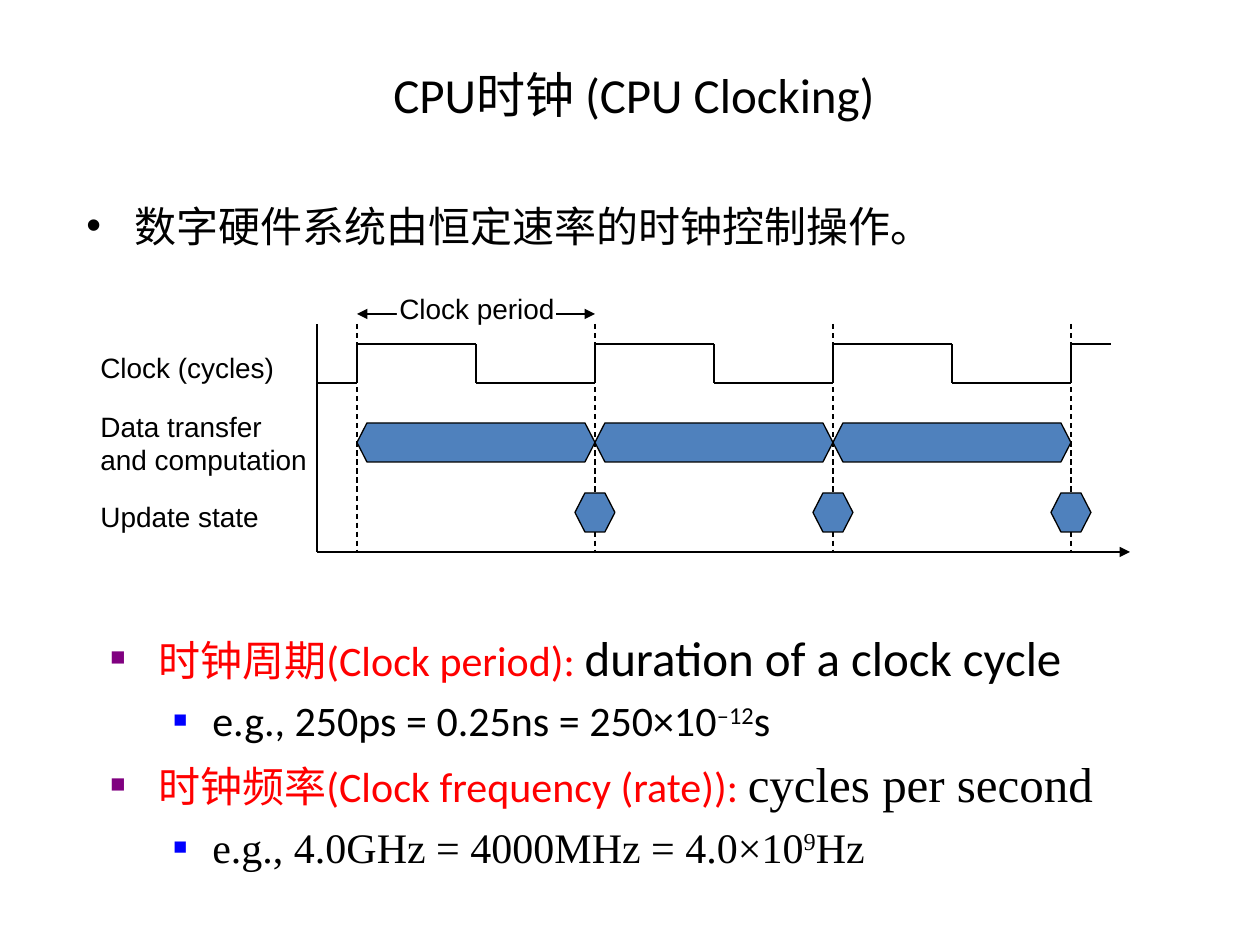
from lxml import etree
from pptx import Presentation
from pptx.dml.color import RGBColor
from pptx.enum.dml import MSO_LINE
from pptx.enum.shapes import MSO_CONNECTOR, MSO_SHAPE
from pptx.enum.text import MSO_ANCHOR, PP_ALIGN
from pptx.oxml.ns import qn
from pptx.util import Emu, Pt

STRAIGHT = MSO_CONNECTOR.STRAIGHT
RECTANGLE = MSO_SHAPE.RECTANGLE
DASH = MSO_LINE.DASH
LEFT, CENTER = PP_ALIGN.LEFT, PP_ALIGN.CENTER
TOP, MIDDLE = MSO_ANCHOR.TOP, MSO_ANCHOR.MIDDLE
BLACK, WHITE, RED, BLUE = "000000", "FFFFFF", "FF0000", "4F81BD"


def px(length):
    return Emu(round(length * 914400 / 126))


def color(value):
    return RGBColor.from_string(value)


def add_text(paragraph, text, size=24, font="Calibri", fill=BLACK, raised=False):
    for number, line in enumerate(text.split("\n")):
        if number:
            paragraph.add_line_break()
        run = paragraph.add_run()
        run.text = line
        run.font.size = Pt(size)
        run.font.name = font
        run.font.color.rgb = color(fill)
        if raised:
            run._r.get_or_add_rPr().set("baseline", "30000")


def add_bullet(paragraph, mark, margin, hanging, fill=BLACK, percent=100):
    properties = paragraph._p.get_or_add_pPr()
    properties.set("marL", str(px(margin)))
    properties.set("indent", str(px(-hanging)))
    bullet_color = etree.SubElement(properties, qn("a:buClr"))
    etree.SubElement(bullet_color, qn("a:srgbClr"), val=fill)
    etree.SubElement(properties, qn("a:buSzPct"), val=str(percent * 1000))
    etree.SubElement(properties, qn("a:buFont"), typeface="Arial")
    etree.SubElement(properties, qn("a:buChar"), char=mark)


class Board:
    def __init__(self, slide):
        self.shapes = slide.shapes
        self.thin, self.thick = Pt(0.75), Pt(1.5)

    def line(self, x1, y1, x2, y2, width=None, dash=None, arrows=()):
        connector = self.shapes.add_connector(STRAIGHT, px(x1), px(y1), px(x2), px(y2))
        connector.line.color.rgb = color(BLACK)
        connector.line.width = width or self.thin
        if dash:
            connector.line.dash_style = dash
        outline = connector.line._get_or_add_ln()
        for end in arrows:
            etree.SubElement(outline, qn(f"a:{end}"), type="triangle")
        etree.SubElement(connector._element.spPr, qn("a:effectLst"))

    def hexagon(self, left, top, width, height, slant=10):
        right, middle, bottom = left + width, top + height / 2, top + height
        points = [(left + slant, top), (right - slant, top), (right, middle),
                  (right - slant, bottom), (left + slant, bottom)]
        builder = self.shapes.build_freeform(px(left), px(middle), scale=1.0)
        builder.add_line_segments([(px(x), px(y)) for x, y in points], close=True)
        hexagon = builder.convert_to_shape()
        hexagon.shadow.inherit = False
        hexagon.fill.solid()
        hexagon.fill.fore_color.rgb = color(BLUE)
        hexagon.line.color.rgb = color(BLACK)
        hexagon.line.width = self.thin

    def mask(self, left, top, width, height):
        mask = self.shapes.add_shape(RECTANGLE, px(left), px(top), px(width), px(height))
        mask.shadow.inherit = False
        mask.fill.solid()
        mask.fill.fore_color.rgb = color(WHITE)
        mask.line.fill.background()

    def frame(self, left, top, width, height, anchor=TOP, wrap=True):
        box = self.shapes.add_textbox(px(left), px(top), px(width), px(height))
        box.text_frame.word_wrap = wrap
        box.text_frame.vertical_anchor = anchor
        return box.text_frame

    def label(self, text, left, top, width, height, align=LEFT):
        paragraph = self.frame(left, top, width, height, wrap=False).paragraphs[0]
        paragraph.alignment = align
        add_text(paragraph, text, size=16, font="Arial")


def draw_timing(board):
    axis_x, axis_y, top = 317, 552, 324
    start, period, cycles = 357, 238, 3
    high, low, height = 344, 383, 39
    edges = [start + period * cycle for cycle in range(cycles + 1)]

    board.line(start, 314, edges[1], 314, arrows=("headEnd", "tailEnd"))
    for edge in edges:
        board.line(edge, top, edge, axis_y, dash=DASH)

    signal = [(axis_x, low)]
    for edge in edges[:-1]:
        half = edge + period / 2
        signal += [(edge, low), (edge, high), (half, high), (half, low)]
    signal += [(edges[-1], low), (edges[-1], high), (edges[-1] + 40, high)]
    for begin, end in zip(signal, signal[1:]):
        board.line(*begin, *end, width=board.thick)

    board.line(axis_x, axis_y, 1130, axis_y, arrows=("tailEnd",))
    board.line(axis_x, axis_y, axis_x, top)
    for edge in edges[:-1]:
        board.hexagon(edge, 423, period, height)
        board.hexagon(edge + period - 20, 493, 40, height)

    board.label("Clock (cycles)", 88, 344, 199, 47)
    board.label("Data transfer\nand computation", 88, 403, 232, 81)
    board.label("Update state", 88, 493, 184, 47)
    board.mask(397, 304, 159, 20)
    board.label("Clock period", 387, 285, 180, 47, align=CENTER)


def write_definitions(board):
    times = "Times New Roman"
    definitions = [
        (0, [("时钟周期(Clock period): ", {"fill": RED}),
             ("duration of a clock cycle", {"size": 28})]),
        (1, [("e.g., 250ps = 0.25ns = 250×10", {}), ("–12", {"raised": True}), ("s", {})]),
        (0, [("时钟频率(Clock frequency (rate)): ", {"fill": RED}),
             ("cycles per second", {"size": 28, "font": times})]),
        (1, [("e.g., 4.0GHz = 4000MHz = 4.0×10", {"font": times}),
             ("9", {"font": times, "raised": True}), ("Hz", {"font": times})]),
    ]
    bullets = [("■", 48, 48, "800080", 60), ("■", 102, 39, "0000FF", 55)]
    frame = board.frame(98, 621, 1071, 268)
    for number, (level, parts) in enumerate(definitions):
        paragraph = frame.add_paragraph() if number else frame.paragraphs[0]
        paragraph.level = level
        if number:
            paragraph.space_before = Pt(5)
        add_bullet(paragraph, *bullets[level])
        for text, style in parts:
            add_text(paragraph, text, **style)


def main():
    deck = Presentation()
    deck.slide_width, deck.slide_height = px(1260), px(945)
    board = Board(deck.slides.add_slide(deck.slide_layouts[6]))

    title = board.frame(67, 26, 1134, 136, anchor=MIDDLE).paragraphs[0]
    title.alignment = CENTER
    add_text(title, "CPU时钟 (CPU Clocking)", size=28)

    statement = board.frame(74, 194, 1140, 79).paragraphs[0]
    add_bullet(statement, "•", 48, 48)
    add_text(statement, "数字硬件系统由恒定速率的时钟控制操作。")

    draw_timing(board)
    write_definitions(board)
    deck.save("out.pptx")


if __name__ == "__main__":
    main()
